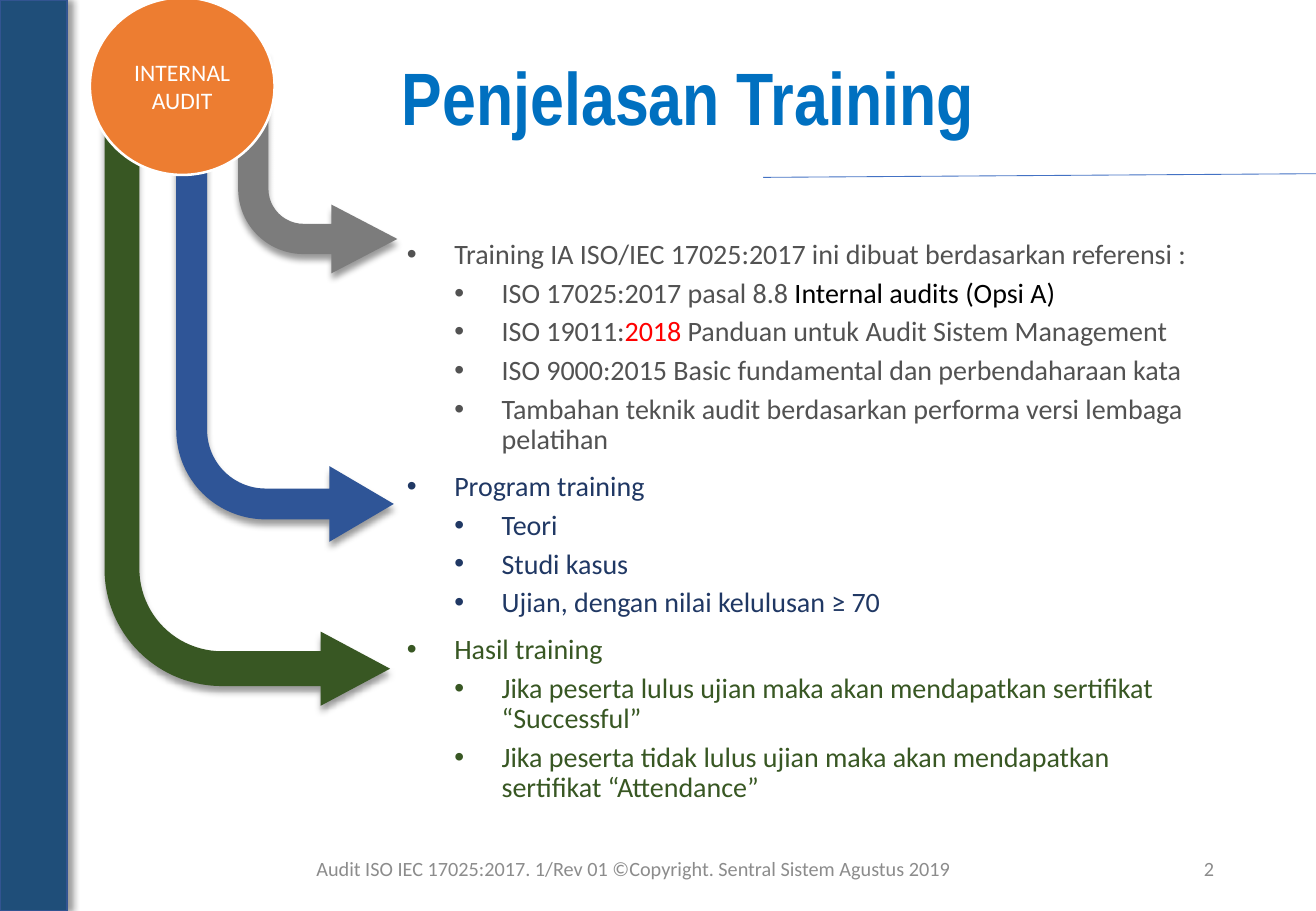
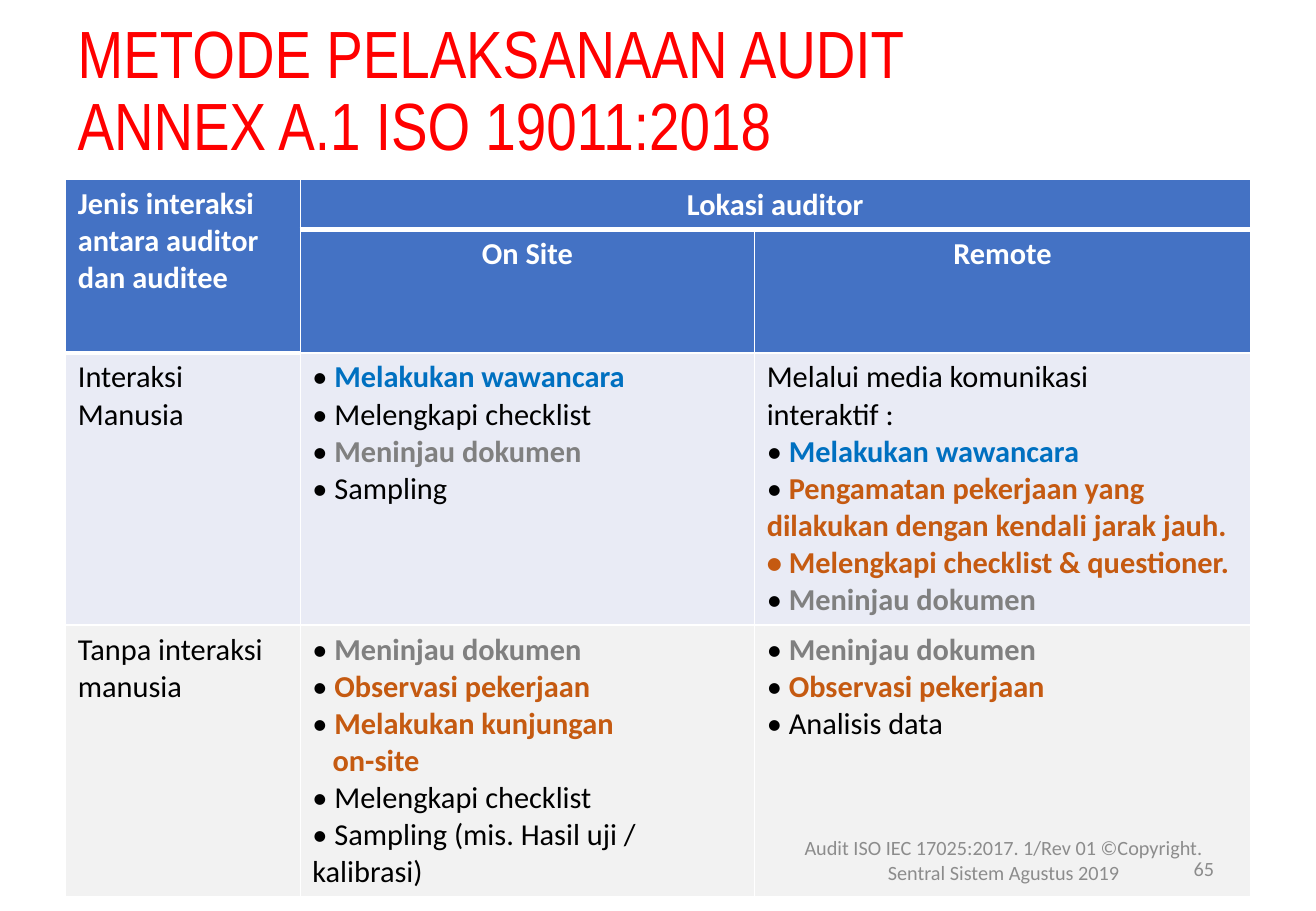
"""Build two slides on internal audit training and audit methods."""
from lxml.etree import SubElement
from pptx import Presentation
from pptx.dml.color import RGBColor as Rgb
from pptx.enum.shapes import MSO_CONNECTOR as Connector, MSO_SHAPE as Preset
from pptx.enum.text import MSO_ANCHOR as Anchor, PP_ALIGN as Align
from pptx.oxml.ns import qn
from pptx.util import Inches, Pt

WIDTH, HEIGHT = Inches(10.83), Inches(7.5)
COLOURS = {
    "white": "FFFFFF", "black": "000000", "red": "FF0000", "blue": "0070C0",
    "muted": "8C8C8C", "grey": "7C7C7C", "text": "525252", "navy": "203864",
    "green": "385723", "royal": "2F5597", "orange": "ED7D31", "rust": "C55A11",
    "band": "1F4E79", "edge": "325491", "header": "4472C4", "silver": "808080",
    "lilac": "E9EBF5", "pale": "F2F2F2",
}
PALETTE = {name: Rgb.from_string(value) for name, value in COLOURS.items()}
FOOTER = "Audit ISO IEC 17025:2017. 1/Rev 01 ©Copyright. Sentral Sistem Agustus 2019"
PAGE_BOX = (70.64, 92.67, 22.53, 5.33)


def grid(*shares):
    """Turn alternating percentages of slide width and height into lengths."""
    return [int((HEIGHT if i % 2 else WIDTH) * share / 100) for i, share in enumerate(shares)]


def write(paragraph, pieces, size, font="Calibri", bold=False, align=Align.LEFT):
    """Write (text, colour) pieces into a paragraph and format them."""
    paragraph.alignment = align
    for text, colour in pieces:
        run = paragraph.add_run()
        run.text = text
        run.font.size, run.font.name = Pt(size), font
        run.font.bold, run.font.color.rgb = bold, PALETTE[colour]


deck = Presentation()
deck.slide_width, deck.slide_height = WIDTH, HEIGHT
training, methods = [deck.slides.add_slide(deck.slide_layouts[6]) for _ in range(2)]

SHADED = [
    (Preset.BENT_ARROW, (18.1, 5.87, 12.1, 24.13), "grey", None, 90, (0.19, 0.216, 0.414, 0.411)),
    (Preset.BENT_ARROW, (13.39, 0, 16.53, 59.47), "royal", None, 90, (0.142, 0.174, 0.296, 0.411)),
    (Preset.BENT_ARROW, (7.94, 5.87, 21.7, 71.6), "green", None, 90, (0.122, 0.13, 0.243, 0.411)),
    (Preset.OVAL, (6.83, -0.27, 14.04, 19.47), "orange", ("white", 1.5), None, ()),
    (Preset.RECTANGLE, (0, 0, 5.08, 100), "band", ("edge", 1), 0, ()),
]
for preset, box, fill, outline, direction, bends in SHADED:
    part = training.shapes.add_shape(preset, *grid(*box))
    part.fill.solid()
    part.fill.fore_color.rgb = PALETTE[fill]
    if outline:
        part.line.color.rgb, part.line.width = PALETTE[outline[0]], Pt(outline[1])
    else:
        part.line.fill.background()
    part.shadow.inherit = False
    properties = part.element.spPr
    if direction is not None:
        shade = SubElement(properties.find(qn("a:effectLst")), qn("a:outerShdw"), blurRad=str(Pt(4)),
                           dist=str(Pt(3)), dir=str(direction * 60000), rotWithShape="0")
        black = SubElement(shade, qn("a:srgbClr"), val=COLOURS["black"])
        SubElement(black, qn("a:alpha"), val="40000")
    for i, bend in enumerate(bends):
        part.adjustments[i] = bend
    if preset == Preset.BENT_ARROW:
        part.rotation = 180
        properties.find(qn("a:xfrm")).set("flipH", "1")
    if preset == Preset.OVAL:
        part.text_frame.vertical_anchor = Anchor.MIDDLE
        write(part.text_frame.paragraphs[0], [("INTERNAL AUDIT", "white")], 14, align=Align.CENTER)

rule = training.shapes.add_connector(Connector.STRAIGHT, *grid(58, 19.47, 100, 19.07))
rule.line.color.rgb, rule.line.width = PALETTE["header"], Pt(0.5)
SubElement(rule.element.spPr, qn("a:effectLst"))

TOPICS = [
    (0, [("Training IA ISO/IEC 17025:2017 ini dibuat berdasarkan referensi :", "text")]),
    (1, [("ISO 17025:2017 pasal 8.8", "text"), (" Internal audits (Opsi A)", "black")]),
    (1, [("ISO 19011:", "text"), ("2018 ", "red"), ("Panduan untuk Audit Sistem Management", "text")]),
    (1, [("ISO 9000:2015 Basic fundamental dan perbendaharaan kata", "text")]),
    (1, [("Tambahan teknik audit berdasarkan performa versi lembaga pelatihan", "text")]),
    (0, [("Program training", "navy")]),
    (1, [("Teori", "navy")]),
    (1, [("Studi kasus", "navy")]),
    (1, [("Ujian, dengan nilai kelulusan ≥ 70", "navy")]),
    (0, [("Hasil training", "green")]),
    (1, [("Jika peserta lulus ujian maka akan mendapatkan sertifikat “Successful”", "green")]),
    (1, [("Jika peserta tidak lulus ujian maka akan mendapatkan sertifikat “Attendance”", "green")]),
]
HANG = grid(3.6)[0]
outline_text = training.shapes.add_textbox(*grid(22.81, 25.73, 70.36, 66.27)).text_frame
outline_text.word_wrap = True
for i, (level, pieces) in enumerate(TOPICS):
    topic = outline_text.add_paragraph() if i else outline_text.paragraphs[0]
    topic.level, topic.line_spacing = level, 0.9
    topic.space_before = Pt((10, 5)[level] if i else 0)
    layout = topic._p.get_or_add_pPr()
    layout.set("marL", str(HANG * (3 + level)))
    layout.set("indent", str(-HANG))
    SubElement(layout, qn("a:buFont"), typeface="Arial")
    SubElement(layout, qn("a:buChar"), char="•")
    write(topic, pieces, 16.6)

HEADER_ROWS = [
    [["Jenis interaksi", "antara auditor dan auditee"], ["Lokasi auditor"], []],
    [[], ["On Site"], ["Remote"]],
]
INTERVIEW = ("• ", "Melakukan wawancara", "blue")
CHECKLIST = ("• Melengkapi checklist", "", "black")
REVIEW = ("• ", "Meninjau dokumen", "silver")
OBSERVE = ("• ", "Observasi pekerjaan", "rust")
METHOD_ROWS = [
    [
        [("Interaksi Manusia", "", "black")],
        [INTERVIEW, CHECKLIST, REVIEW, ("• Sampling", "", "black")],
        [("Melalui media komunikasi", "", "black"), ("interaktif :", "", "black"), INTERVIEW,
         ("• ", "Pengamatan pekerjaan yang dilakukan dengan kendali jarak jauh.", "rust"),
         ("", "• Melengkapi checklist & questioner.", "rust"), REVIEW],
    ],
    [
        [("Tanpa interaksi manusia", "", "black")],
        [REVIEW, OBSERVE, ("• ", "Melakukan kunjungan", "rust"), ("", "on-site", "rust"),
         CHECKLIST, ("• Sampling (mis. Hasil uji / kalibrasi)", "", "black")],
        [REVIEW, OBSERVE, ("• Analisis data", "", "black")],
    ],
]
COLUMN_SHARES = (17.82, 34.53, 37.67)
ROW_SHARES = (5.47, 13.33, 29.87, 29.73)
HEAVY = {(0, 0), (0, 1), (0, 2), (1, 0)}
table = methods.shapes.add_table(4, 3, *grid(5, 19.73, sum(COLUMN_SHARES), sum(ROW_SHARES))).table
for column, share in zip(table.columns, COLUMN_SHARES):
    column.width = int(WIDTH * share / 100)
for row, share in zip(table.rows, ROW_SHARES):
    row.height = int(HEIGHT * share / 100)
table.cell(0, 0).merge(table.cell(1, 0))
table.cell(0, 1).merge(table.cell(0, 2))

for r, fill in enumerate(("header", "header", "lilac", "pale")):
    for c in range(3):
        cell = table.cell(r, c)
        cell.fill.solid()
        cell.fill.fore_color.rgb = PALETTE[fill]
        borders = cell._tc.get_or_add_tcPr()
        weights = {"L": 1, "R": 1, "T": 3 if (r - 1, c) in HEAVY else 1, "B": 3 if (r, c) in HEAVY else 1}
        for i, (side, weight) in enumerate(weights.items()):
            border = SubElement(borders, qn(f"a:ln{side}"), w=str(Pt(weight)))
            SubElement(SubElement(border, qn("a:solidFill")), qn("a:srgbClr"), val=COLOURS["white"])
            borders.insert(i, border)
        if (r, c) == (0, 1):
            cell.vertical_anchor = Anchor.MIDDLE
        for i, entry in enumerate(HEADER_ROWS[r][c] if r < 2 else METHOD_ROWS[r - 2][c]):
            line = cell.text_frame.add_paragraph() if i else cell.text_frame.paragraphs[0]
            if r < 2:
                write(line, [(entry, "white")], 18, bold=True, align=Align.CENTER if c else Align.LEFT)
                continue
            plain, strong, tone = entry
            if strong == "on-site":
                line._p.get_or_add_pPr().set("marL", str(Pt(12)))
            if plain:
                write(line, [(plain, "black")], 18)
            if strong:
                write(line, [(strong, tone)], 18, bold=True)

CAPTIONS = [
    (training, (29.64, 2.8, 60.2, 16.67), "Penjelasan Training", "blue", 44, "Arial Narrow", True, Align.LEFT),
    (training, PAGE_BOX, "2", "muted", 12, "Calibri", False, Align.RIGHT),
    (training, (16.9, 92.67, 62.5, 5.33), FOOTER, "muted", 12, "Calibri", False, Align.CENTER),
    (methods, (5, 1.87, 90, 16.67), "METODE PELAKSANAAN AUDIT\vANNEX A.1 ISO 19011:2018", "red", 39.6,
     "Arial Narrow", False, Align.LEFT),
    (methods, PAGE_BOX, "65", "muted", 12, "Calibri", False, Align.RIGHT),
    (methods, (59.37, 91.73, 33.8, 5.33), FOOTER, "muted", 12, "Calibri", False, Align.CENTER),
]
for slide, box, text, colour, size, font, bold, align in CAPTIONS:
    frame = slide.shapes.add_textbox(*grid(*box)).text_frame
    frame.word_wrap, frame.vertical_anchor = True, Anchor.MIDDLE
    caption = frame.paragraphs[0]
    if font == "Arial Narrow":
        caption.line_spacing = 0.9
    for i, part in enumerate(text.split("\v")):
        if i:
            caption.add_line_break()
        write(caption, [(part, colour)], size, font, bold, align)

deck.save("out.pptx")
